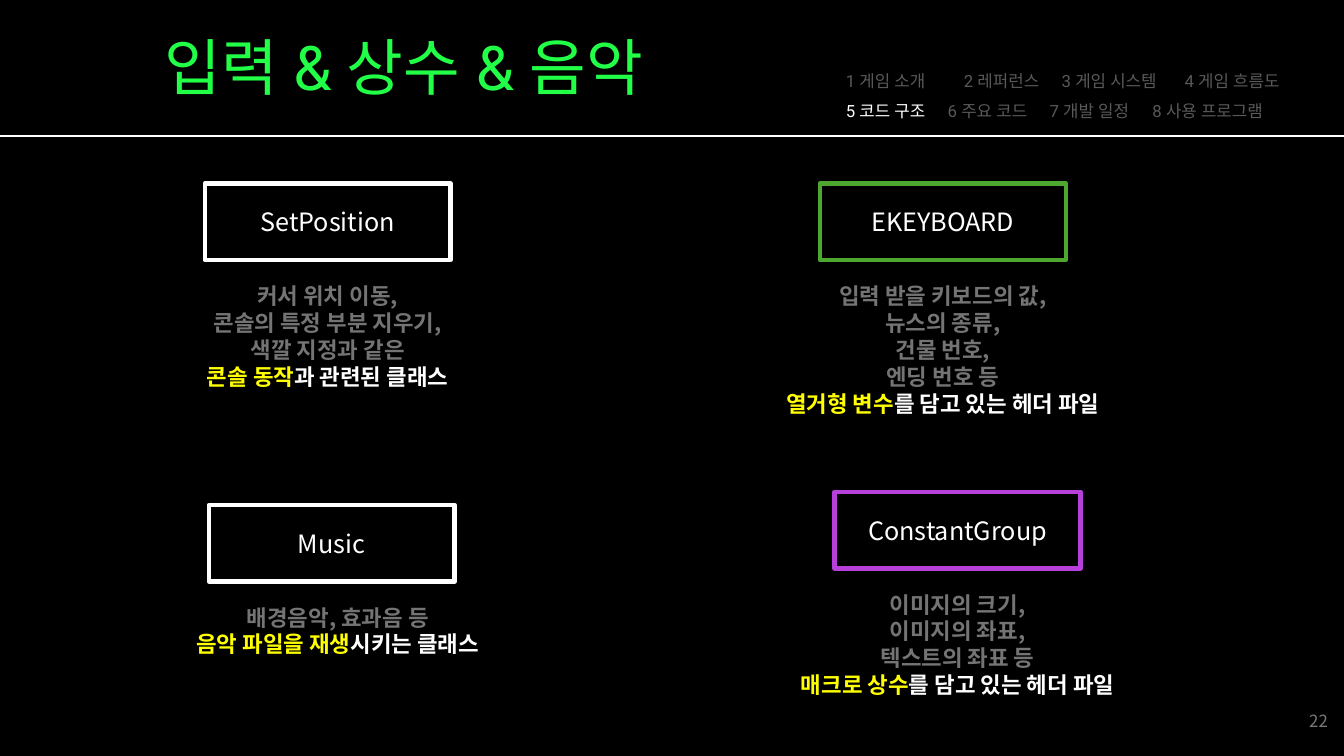
from dataclasses import dataclass

import pptx
import pptx.dml.color
import pptx.enum.shapes
import pptx.enum.text
import pptx.oxml
import pptx.oxml.ns
import pptx.util
from lxml import etree

ALIGN = pptx.enum.text.PP_ALIGN
ANCHOR = pptx.enum.text.MSO_ANCHOR
SLIDE_WIDTH = pptx.util.Inches(13.33)
SLIDE_HEIGHT = pptx.util.Inches(7.5)


@dataclass(frozen=True)
class Theme:
    title_font: str = "Roboto"
    body_font: str = "Noto Sans CJK KR"
    background: str = "000000"
    white: str = "FFFFFF"
    title: str = "21FF46"
    muted: str = "747474"
    highlight: str = "FFFF00"
    enum_header: str = "4EA72E"
    macro_header: str = "B640D9"
    inactive: str = "595959"
    page: str = "797979"
    title_size: int = 44
    label_size: int = 18
    body_size: int = 16
    small_size: int = 12


@dataclass(frozen=True)
class Card:
    """A source file; left and top are percent of the slide."""
    label: str
    outline: str
    left: float
    top: float
    details: tuple
    keyword: str
    role: str
    text_width: float = 31.5
    text_shift: float = 0


THEME = Theme()
CARD_WIDTH, CARD_HEIGHT = 18.3, 10.13
DESCRIPTION_DROP = 12.4
LINE_HEIGHT, TEXT_PADDING = 3.6, 1.33

CARDS = (
    Card("SetPosition", THEME.white, 15.23, 24.27,
         ("커서 위치 이동,", "콘솔의 특정 부분 지우기,", "색깔 지정과 같은"),
         "콘솔 동작", "과 관련된 클래스", text_width=25.5),
    Card("Music", THEME.white, 15.53, 66.8,
         ("배경음악, 효과음 등",),
         "음악 파일을 재생", "시키는 클래스", text_shift=0.45),
    Card("EKEYBOARD", THEME.enum_header, 61, 24.27,
         ("입력 받을 키보드의 값,", "뉴스의 종류,", "건물 번호,", "엔딩 번호 등"),
         "열거형 변수", "를 담고 있는 헤더 파일"),
    Card("ConstantGroup", THEME.macro_header, 62.1, 65.07,
         ("이미지의 크기,", "이미지의 좌표,", "텍스트의 좌표 등"),
         "매크로 상수", "를 담고 있는 헤더 파일"),
)

# Each row: chapters, and the tab stops in inches of all but the first.
CHAPTER_ROWS = (
    (("1 게임 소개", "2 레퍼런스", "3 게임 시스템", "4 게임 흐름도"), (1.17, 2.14, 3.36)),
    (("5 코드 구조", "6 주요 코드", "7 개발 일정", "8 사용 프로그램"), (1.01, 2.02, 3.04)),
)
CURRENT_CHAPTER = "5 코드 구조"


def rgb(color):
    return pptx.dml.color.RGBColor.from_string(color)


def across(percent):
    return int(SLIDE_WIDTH * percent / 100)


def down(percent):
    return int(SLIDE_HEIGHT * percent / 100)


def area(left, top, width, height):
    return across(left), down(top), across(width), down(height)


def style(paragraph, font_name, size, color=None, bold=False):
    """Set the paragraph's font for Latin and Korean letters alike."""
    font = paragraph.font
    font.size, font.bold, font.name = pptx.util.Pt(size), bold, font_name
    if color:
        font.color.rgb = rgb(color)
    qn = pptx.oxml.ns.qn
    defaults = paragraph._p.pPr.find(qn("a:defRPr"))
    etree.SubElement(defaults, qn("a:ea")).set("typeface", font_name)


def add_colored_run(paragraph, text, color):
    run = paragraph.add_run()
    run.text = text
    run.font.color.rgb = rgb(color)


def add_text_frame(slide, box):
    frame = slide.shapes.add_textbox(*box).text_frame
    frame.word_wrap = True
    return frame


def paragraphs(frame, count):
    return [frame.paragraphs[0]] + [frame.add_paragraph() for _ in range(count - 1)]


def set_title(slide, text):
    title = slide.shapes.title
    title.left, title.top, title.width, title.height = area(11.48, 3.2, 44, 11.2)
    frame = title.text_frame
    frame.text = text
    frame.word_wrap = True
    frame.auto_size = pptx.enum.text.MSO_AUTO_SIZE.NONE
    frame.vertical_anchor = ANCHOR.TOP
    paragraph = frame.paragraphs[0]
    paragraph.alignment = ALIGN.LEFT
    style(paragraph, THEME.title_font, THEME.title_size, THEME.title)


def add_header_rule(slide):
    rule = slide.shapes.add_connector(
        pptx.enum.shapes.MSO_CONNECTOR.STRAIGHT, 0, down(18), SLIDE_WIDTH, down(18))
    rule.line.color.rgb = rgb(THEME.white)
    rule.line.width = pptx.util.Pt(1.5)
    etree.SubElement(rule._element.spPr, pptx.oxml.ns.qn("a:effectLst"))


def add_tab_stops(paragraph, stops):
    qn = pptx.oxml.ns.qn
    tabs = etree.SubElement(paragraph._p.get_or_add_pPr(), qn("a:tabLst"))
    for stop in stops:
        etree.SubElement(tabs, qn("a:tab"),
                         pos=str(pptx.util.Inches(stop)), algn="l")


def add_chapter_list(slide):
    frame = add_text_frame(slide, area(62.2, 7.33, 37.8, 8.8))
    rows = paragraphs(frame, len(CHAPTER_ROWS))
    for paragraph, (chapters, stops) in zip(rows, CHAPTER_ROWS):
        paragraph.line_spacing = 1.5
        add_tab_stops(paragraph, stops)
        style(paragraph, THEME.title_font, THEME.small_size)
        for index, chapter in enumerate(chapters):
            color = THEME.white if chapter == CURRENT_CHAPTER else THEME.inactive
            add_colored_run(paragraph, ("\t" if index else "") + chapter, color)


def add_label_box(slide, card):
    box = slide.shapes.add_shape(
        pptx.enum.shapes.MSO_SHAPE.RECTANGLE,
        *area(card.left, card.top, CARD_WIDTH, CARD_HEIGHT))
    box.shadow.inherit = False
    box.fill.background()
    box.line.color.rgb = rgb(card.outline)
    box.line.width = pptx.util.Pt(3)
    frame = box.text_frame
    frame.text = card.label
    frame.vertical_anchor = ANCHOR.MIDDLE
    paragraph = frame.paragraphs[0]
    paragraph.alignment = ALIGN.CENTER
    style(paragraph, THEME.body_font, THEME.label_size, THEME.white)


def add_description(slide, card):
    line_count = len(card.details) + 1
    left = card.left + (CARD_WIDTH - card.text_width) / 2 + card.text_shift
    frame = add_text_frame(slide, area(
        left, card.top + DESCRIPTION_DROP,
        card.text_width, line_count * LINE_HEIGHT + TEXT_PADDING))
    *detail_lines, summary = paragraphs(frame, line_count)
    for paragraph, detail in zip(detail_lines, card.details):
        paragraph.text = detail
        paragraph.alignment = ALIGN.CENTER
        style(paragraph, THEME.body_font, THEME.body_size, THEME.muted, bold=True)
    summary.alignment = ALIGN.CENTER
    style(summary, THEME.body_font, THEME.body_size, bold=True)
    add_colored_run(summary, card.keyword, THEME.highlight)
    add_colored_run(summary, card.role, THEME.white)


def add_page_number(slide, number):
    frame = add_text_frame(slide, area(77.04, 92.67, 22.5, 5.33))
    frame.vertical_anchor = ANCHOR.MIDDLE
    paragraph = frame.paragraphs[0]
    paragraph.text = number
    paragraph.alignment = ALIGN.RIGHT
    style(paragraph, THEME.body_font, THEME.small_size, THEME.page)


def main():
    deck = pptx.Presentation()
    deck.slide_width, deck.slide_height = SLIDE_WIDTH, SLIDE_HEIGHT
    slide = deck.slides.add_slide(deck.slide_layouts.get_by_name("Title Only"))
    slide.background.fill.solid()
    slide.background.fill.fore_color.rgb = rgb(THEME.background)
    set_title(slide, "입력 & 상수 & 음악")
    add_header_rule(slide)
    add_chapter_list(slide)
    for card in CARDS:
        add_label_box(slide, card)
        add_description(slide, card)
    add_page_number(slide, "22")
    deck.save("out.pptx")


if __name__ == "__main__":
    main()
